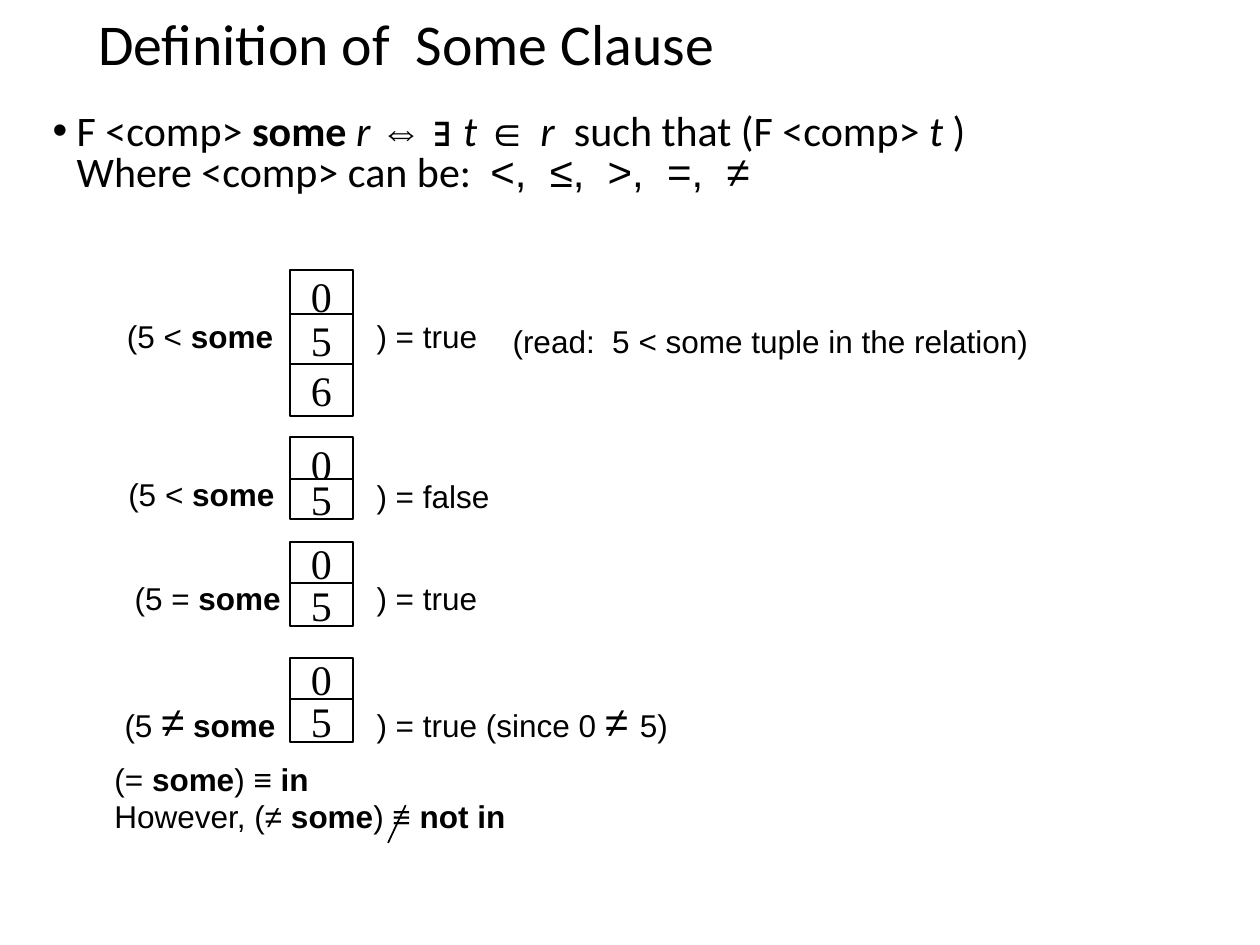
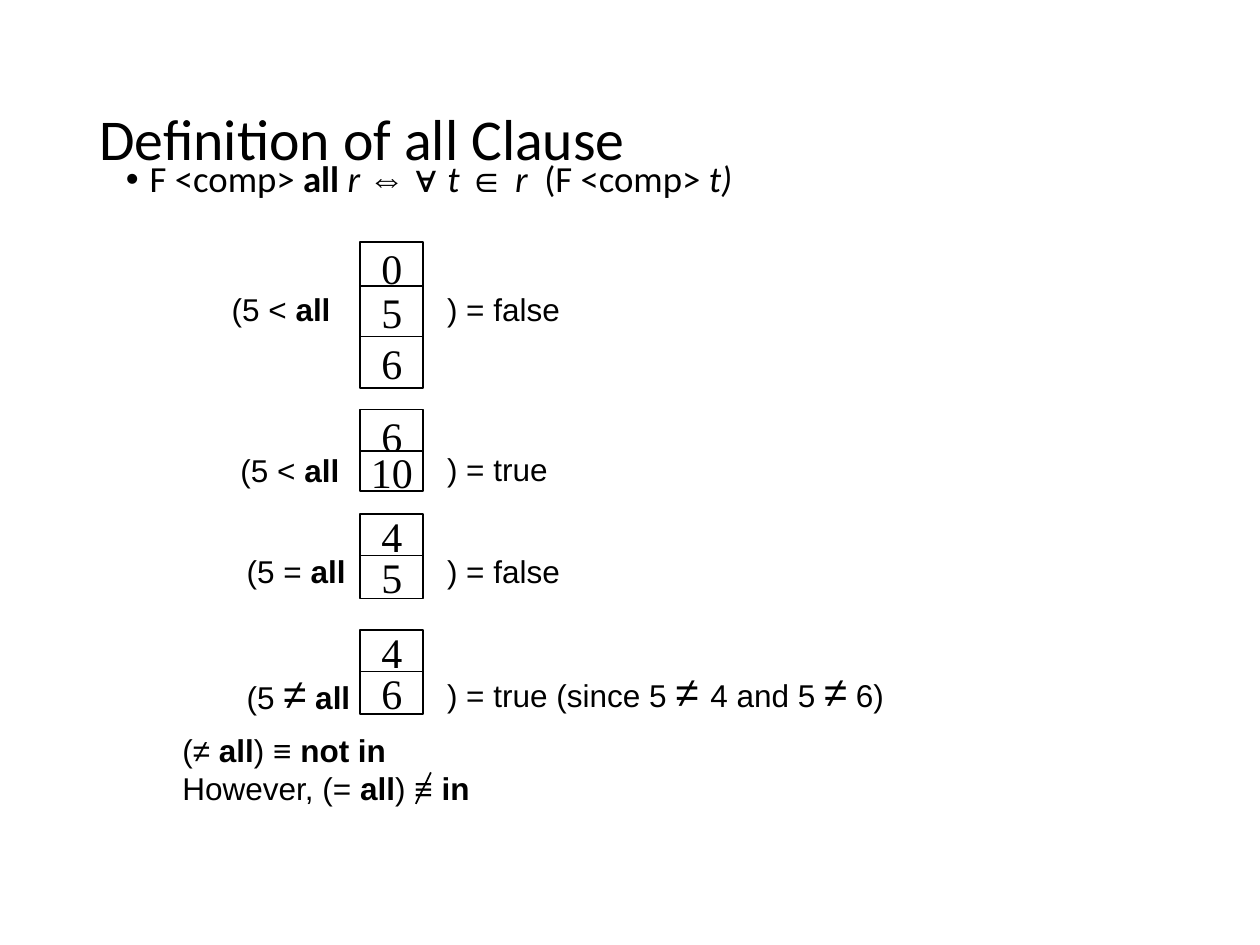
from lxml import etree
from pptx import Presentation
from pptx.dml.color import RGBColor
from pptx.enum import shapes, text
from pptx.oxml.ns import qn
from pptx.util import Inches, Pt

BLACK = RGBColor(0x00, 0x00, 0x00)
WHITE = RGBColor(0xFF, 0xFF, 0xFF)
HEADING_FONT, LABEL_FONT, CELL_FONT = "Calibri", "Arial", "Times New Roman"

# Run styles: what differs from the font of the text around it
STYLES = {
    "plain": {},
    "bold": {"bold": True},
    "italic": {"italic": True},
    "symbol": {"name": LABEL_FONT},
    "large": {"size": Pt(24)},
}

# A run is plain text, or a pair of text and style; BREAK starts a new line
BREAK = "\n"
SOME, ALL = ("some", "bold"), ("all", "bold")
UNEQUAL = ("≠", "large")

# Each case: label position, label, values, result top, result width, result
SLIDES = [
    {
        "title": "Definition of  Some Clause",
        "title_box": (0.68, 0.04, 8.83, 0.67),
        "definition": [
            "F <comp> ", ("some ", "bold"), ("r ", "italic"), ("⇔ ∃ ", "symbol"),
            ("t ", "italic"), ("∈ ", "symbol"), ("r  ", "italic"),
            "such that (F <comp> ", ("t ", "italic"), ")", BREAK,
            "Where <comp> can be:  ", ("<,  ≤,  >,  =,  ≠", "symbol"),
        ],
        "definition_box": (0.32, 0.86, 8.71, 0.78),
        "definition_size": 24,
        "definition_spacing": 0.8,
        "stack_origin": (2.3, 2.14),
        "cases": [
            ((0.91, 2.47), ["(5 < ", SOME], "0 5 6", 2.47, 1.33, [") = true"]),
            ((0.92, 3.72), ["(5 < ", SOME], "0 5", 3.74, 1.33, [") = false"]),
            ((0.97, 4.55), ["(5 = ", SOME], "0 5", 4.55, 1.33, [") = true"]),
            ((0.89, 5.47), ["(5 ", UNEQUAL, " ", SOME], "0 5", 5.47, 2.75,
             [") = true (since 0 ", ("≠ ", "large"), "5)"]),
        ],
        "remarks": [((3.97, 2.51, 5.33, 0.4),
                     ["(read:  5 < some tuple in the relation)"])],
        "conclusion": [
            ["(= ", SOME, ") ≡ ", ("in", "bold")],
            ["However, (≠ ", SOME, ") ≡ ", ("not in", "bold")],
        ],
        "conclusion_box": (0.81, 5.98, 7.44, 0.78),
        "strike": (3.22, 6.39, 3.08, 6.69),
    },
    {
        "title": "Definition of all Clause",
        "title_box": (0.69, 0.4, 8.63, 1.45),
        "definition": [
            "F <comp> ", ("all ", "bold"), ("r ", "italic"), ("⇔ ∀ ", "symbol"),
            ("t ", "italic"), ("∈ ", "symbol"), ("r ", "italic"),
            " (F <comp> ", ("t)", "italic"),
        ],
        "definition_box": (0.9, 1.23, 7.26, 0.42),
        "definition_size": 21,
        "definition_spacing": 0.9,
        "stack_origin": (2.86, 1.92),
        "cases": [
            ((1.74, 2.25), ["(5 < ", ALL], "0 5 6", 2.25, 1.33, [") = false"]),
            ((1.81, 3.53), ["(5 < ", ALL], "6 10", 3.52, 1.33, [") = true"]),
            ((1.86, 4.33), ["(5 = ", ALL], "4 5", 4.33, 1.33, [") = false"]),
            ((1.86, 5.25), ["(5 ", UNEQUAL, " ", ALL], "4 6", 5.23, 5,
             [") = true (since 5 ", ("≠ ", "large"), "4 and 5 ", UNEQUAL, " 6)"]),
        ],
        "remarks": [],
        "conclusion": [
            ["(≠ ", ALL, ") ≡ ", ("not in", "bold")],
            ["However, (= ", ALL, ") ≡ ", ("in", "bold")],
        ],
        "conclusion_box": (1.35, 5.75, 7.44, 0.78),
        "strike": (3.42, 6.13, 3.3, 6.38),
    },
]

# Cells of each case as (offset from the stack origin, height)
STACKS = [
    [(0, 0.41), (0.35, 0.41), (0.75, 0.41)],
    [(1.33, 0.42), (1.66, 0.32)],
    [(2.16, 0.34), (2.49, 0.34)],
    [(3.08, 0.34), (3.41, 0.34)],
]
CELL_WIDTH = 0.5
RESULT_OFFSET = 0.59
LABEL_WIDTH, LABEL_HEIGHT = 1.67, 0.4


def apply(target, values):
    for name, value in values.items():
        setattr(target, name, value)


def write_runs(paragraph, runs, font_name, size):
    for item in runs:
        if item == BREAK:
            paragraph.add_line_break()
            continue
        words, style = (item, "plain") if isinstance(item, str) else item
        run = paragraph.add_run()
        run.text = words
        apply(run.font, {"name": font_name, "size": Pt(size), **STYLES[style]})
        run.font.color.rgb = BLACK


def add_text(slide, box, lines, font_name=LABEL_FONT, size=18,
             frame_format=None, paragraph_format=None):
    shape = slide.shapes.add_textbox(*map(Inches, box))
    frame = shape.text_frame
    apply(frame, {"word_wrap": True, **(frame_format or {})})
    for index, runs in enumerate(lines):
        paragraph = frame.add_paragraph() if index else frame.paragraphs[0]
        apply(paragraph, paragraph_format or {})
        write_runs(paragraph, runs, font_name, size)
    return shape


def add_label(slide, box, runs):
    add_text(slide, box, [runs],
             frame_format={"auto_size": text.MSO_AUTO_SIZE.SHAPE_TO_FIT_TEXT},
             paragraph_format={"space_before": Pt(11.2)})


def add_bullet(paragraph):
    properties = paragraph._p.get_or_add_pPr()
    properties.set("marL", str(Inches(0.19)))
    properties.set("indent", str(-Inches(0.19)))
    for tag, name, value in [("a:buFont", "typeface", LABEL_FONT),
                             ("a:buChar", "char", "•")]:
        etree.SubElement(properties, qn(tag)).set(name, value)


def add_cell(slide, box, value):
    cell = slide.shapes.add_shape(shapes.MSO_SHAPE.RECTANGLE, *map(Inches, box))
    cell.shadow.inherit = False
    cell.fill.solid()
    cell.fill.fore_color.rgb = WHITE
    cell.line.color.rgb = BLACK
    cell.line.width = Pt(1)
    apply(cell.text_frame, {"word_wrap": False,
                            "vertical_anchor": text.MSO_ANCHOR.MIDDLE})
    paragraph = cell.text_frame.paragraphs[0]
    paragraph.alignment = text.PP_ALIGN.CENTER
    write_runs(paragraph, [value], CELL_FONT, 24)


def add_strike(slide, ends):
    line = slide.shapes.add_connector(shapes.MSO_CONNECTOR.STRAIGHT,
                                      *map(Inches, ends))
    line.line.color.rgb = BLACK
    line.line.width = Pt(1)
    etree.SubElement(line._element.spPr, qn("a:effectLst"))


def build_slide(presentation, content):
    slide = presentation.slides.add_slide(presentation.slide_layouts[6])

    # Title and definition
    add_text(slide, content["title_box"], [[content["title"]]], HEADING_FONT, 33,
             {"vertical_anchor": text.MSO_ANCHOR.MIDDLE}, {"line_spacing": 0.9})
    definition = add_text(
        slide, content["definition_box"], [content["definition"]],
        HEADING_FONT, content["definition_size"],
        paragraph_format={"line_spacing": content["definition_spacing"],
                          "space_before": Pt(7.5)})
    add_bullet(definition.text_frame.paragraphs[0])

    # Cases: label, stack of values, result
    left, top = content["stack_origin"]
    for case, stack in zip(content["cases"], STACKS):
        label_at, label, values, result_top, result_width, result = case
        for value, (offset, height) in zip(values.split(), stack):
            add_cell(slide, (left, top + offset, CELL_WIDTH, height), value)
        add_label(slide, (*label_at, LABEL_WIDTH, LABEL_HEIGHT), label)
        add_label(slide, (left + RESULT_OFFSET, result_top, result_width,
                          LABEL_HEIGHT), result)
    for box, remark in content["remarks"]:
        add_label(slide, box, remark)

    # Conclusion, with a stroke through the last equivalence sign
    add_text(slide, content["conclusion_box"], content["conclusion"])
    add_strike(slide, content["strike"])


def main():
    presentation = Presentation()
    presentation.slide_width = Inches(10)
    presentation.slide_height = Inches(7.5)
    for content in SLIDES:
        build_slide(presentation, content)
    presentation.save("out.pptx")


if __name__ == "__main__":
    main()
